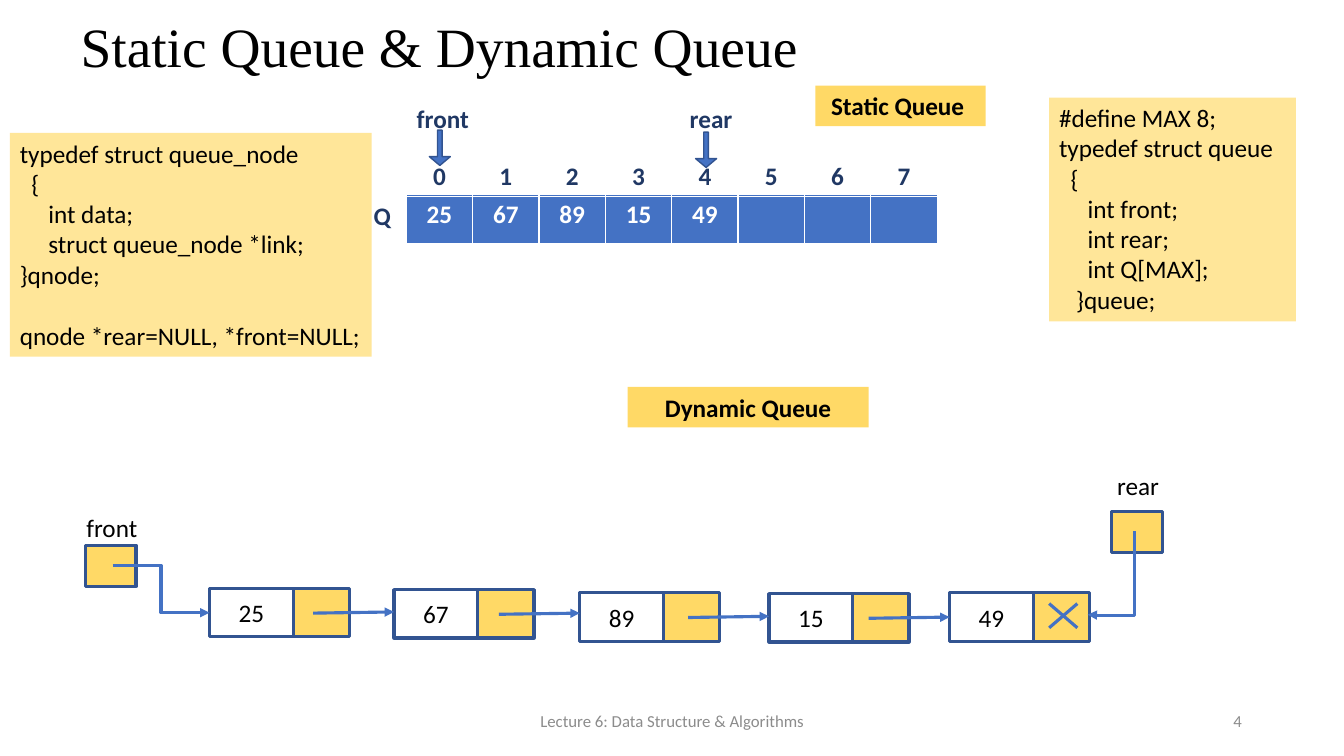
from pptx import Presentation
from pptx.dml.color import RGBColor
from pptx.enum.shapes import MSO_CONNECTOR, MSO_SHAPE
from pptx.enum.text import MSO_ANCHOR, PP_ALIGN
from pptx.oxml.ns import qn
from pptx.util import Cm, Pt
from lxml.etree import SubElement

BLACK = RGBColor(0x00, 0x00, 0x00)
WHITE = RGBColor(0xFF, 0xFF, 0xFF)
GREY = RGBColor(0x8C, 0x8C, 0x8C)
NAVY = RGBColor(0x20, 0x38, 0x64)
BLUE = RGBColor(0x44, 0x72, 0xC4)
OUTLINE = RGBColor(0x32, 0x54, 0x91)
GOLD = RGBColor(0xFF, 0xD9, 0x66)
CREAM = RGBColor(0xFF, 0xE6, 0x99)


class QueueSlide:
    font = "Calibri"
    size = 18
    line_width = 2.25

    def __init__(self, presentation):
        self.slide = presentation.slides.add_slide(presentation.slide_layouts[5])
        self.shapes = self.slide.shapes

    def format(self, text_frame, color=BLACK, bold=False, align=PP_ALIGN.CENTER,
               size=None, font=None):
        for paragraph in text_frame.paragraphs:
            paragraph.alignment = align
            for run in paragraph.runs:
                run.font.name = font or self.font
                run.font.size = Pt(size or self.size)
                run.font.bold = bold
                run.font.color.rgb = color

    def title(self, text, left, top, width, height):
        title = self.shapes.title
        title.left, title.top = Cm(left), Cm(top)
        title.width, title.height = Cm(width), Cm(height)
        title.text_frame.text = text
        title.text_frame.vertical_anchor = MSO_ANCHOR.MIDDLE
        title.text_frame.paragraphs[0].line_spacing = 0.9
        self.format(title.text_frame, align=PP_ALIGN.LEFT, size=39.6,
                    font="Times New Roman")

    def label(self, text, left, top, width, height=1.02, anchor=MSO_ANCHOR.TOP, **style):
        box = self.shapes.add_textbox(Cm(left), Cm(top), Cm(width), Cm(height))
        box.text_frame.word_wrap = True
        box.text_frame.vertical_anchor = anchor
        box.text_frame.text = text
        self.format(box.text_frame, **style)

    def box(self, left, top, width, height, fill=None, line=None, text="",
            preset=MSO_SHAPE.RECTANGLE, line_width=None, **style):
        shape = self.shapes.add_shape(preset, Cm(left), Cm(top), Cm(width), Cm(height))
        shape.shadow.inherit = False
        if fill is None:
            shape.fill.background()
        else:
            shape.fill.solid()
            shape.fill.fore_color.rgb = fill
        if line is None:
            shape.line.fill.background()
        else:
            shape.line.color.rgb = line
            shape.line.width = Pt(line_width or self.line_width)
        if text:
            shape.text_frame.text = text
            self.format(shape.text_frame, **style)
        return shape

    def down_arrow(self, left, top):
        arrow = self.box(left, top, 0.53, 0.89, BLUE, OUTLINE,
                         preset=MSO_SHAPE.DOWN_ARROW, line_width=1)
        arrow.adjustments[0] = 0.22
        arrow.adjustments[1] = 0.42

    def code(self, lines, left, top, width, height):
        shape = self.box(left, top, width, height, CREAM,
                         text="\n".join(text for text, indent, before in lines),
                         align=PP_ALIGN.LEFT)
        shape.text_frame.vertical_anchor = MSO_ANCHOR.TOP
        for paragraph, (text, indent, before) in zip(shape.text_frame.paragraphs, lines):
            paragraph.space_before = Pt(before)
            properties = paragraph._p.get_or_add_pPr()
            properties.set("marL", str(Cm(indent)))
            properties.set("indent", "0")

    def row(self, values, left, top, width, height, color, fill=None):
        frame = self.shapes.add_table(1, len(values), Cm(left), Cm(top),
                                      Cm(width), Cm(height))
        frame.table.horz_banding = False
        for cell, value in zip(frame.table.iter_cells(), values):
            if fill is None:
                cell.fill.background()
            else:
                cell.fill.solid()
                cell.fill.fore_color.rgb = fill
            cell.text_frame.text = value
            self.format(cell.text_frame, color, bold=True)

    def connector(self, start, end, kind=MSO_CONNECTOR.STRAIGHT, arrow=True):
        connector = self.shapes.add_connector(kind, *map(Cm, start + end))
        connector.line.color.rgb = BLUE
        connector.line.width = Pt(self.line_width)
        if arrow:
            SubElement(connector.line._get_or_add_ln(), qn("a:tailEnd"), type="triangle")
        SubElement(connector._element.spPr, qn("a:effectLst"))
        return connector

    def down_then_left(self, start, end):
        drop, run = end[1] - start[1], start[0] - end[0]
        left = (start[0] + end[0] - drop) / 2
        top = (start[1] + end[1] - run) / 2
        connector = self.connector((left, top), (left + drop, top + run),
                                   MSO_CONNECTOR.ELBOW)
        properties = connector._element.spPr
        properties.find(qn("a:xfrm")).set("rot", "5400000")
        guides = properties.find(qn("a:prstGeom")).get_or_add_avLst()
        SubElement(guides, qn("a:gd"), name="adj1", fmla="val 100500")

    def node(self, value, left, top):
        self.box(left, top, DATA_WIDTH, NODE_HEIGHT, line=OUTLINE, text=value)
        self.box(left + DATA_WIDTH, top, LINK_WIDTH, NODE_HEIGHT, GOLD, OUTLINE)


DATA_WIDTH, LINK_WIDTH, NODE_HEIGHT = 2.11, 1.42, 1.22
VALUES = ["25", "67", "89", "15", "49"]
NODE_PLACES = [(5.28, 14.83), (9.93, 14.86), (14.61, 14.94), (19.38, 14.96), (23.93, 14.94)]
CAPACITY = 8
NODE_CODE = [
    ("typedef struct queue_node", 0, 0),
    ("{", 0.29, 0),
    ("int data;", 0.72, 0),
    ("struct queue_node *link;", 0.72, 0),
    ("}qnode;", 0, 0),
    ("qnode *rear=NULL, *front=NULL;", 0, 22),
]
QUEUE_CODE = [
    ("#define MAX 8;", 0, 0),
    ("typedef struct queue", 0, 0),
    ("{", 0.29, 0),
    ("int front;", 0.72, 0),
    ("int rear;", 0.72, 0),
    ("int Q[MAX];", 0.72, 0),
    ("}queue;", 0.43, 0),
]

presentation = Presentation()
presentation.slide_width, presentation.slide_height = Cm(33.87), Cm(19.05)
page = QueueSlide(presentation)

page.title("Static Queue & Dynamic Queue", 1.78, 0.64, 29.21, 1.24)
page.label("Lecture 6: Data Structure & Algorithms", 11.23, 17.65, 11.43,
           anchor=MSO_ANCHOR.MIDDLE, size=12, color=GREY)
page.label("4", 23.93, 17.65, 7.62, anchor=MSO_ANCHOR.MIDDLE, size=12, color=GREY,
           align=PP_ALIGN.RIGHT)

page.row(VALUES + [""] * (CAPACITY - len(VALUES)), 10.24, 4.9, 13.38, 1.24, WHITE, BLUE)
page.row([str(index) for index in range(CAPACITY)], 10.24, 3.94, 13.38, 1.02, NAVY)
page.label("Q", 8.1, 4.93, 2, color=NAVY, bold=True, align=PP_ALIGN.RIGHT)
for name, label_left, arrow_left, arrow_top in [("front", 9.93, 10.82, 3.28),
                                                ("rear", 16.69, 17.53, 3.33)]:
    page.label(name, label_left, 2.49, 2.46, color=NAVY, bold=True)
    page.down_arrow(arrow_left, arrow_top)

page.code(NODE_CODE, 0.25, 3.35, 9.12, 5.64)
page.code(QUEUE_CODE, 26.44, 2.46, 6.22, 5.64)
page.box(20.55, 2.16, 4.29, 1.02, GOLD, text="Static Queue ", bold=True)
page.box(15.82, 9.75, 6.07, 1.02, GOLD, text="Dynamic Queue", bold=True)

for name, left, top in [("front", 1.6, 12.78), ("rear", 27.46, 11.73)]:
    page.label(name, left, top, 2.44)
for left, top in [(2.16, 13.74), (28.02, 12.88)]:
    page.box(left, top, 1.27, 1.04, GOLD, OUTLINE)

for value, place in zip(VALUES, NODE_PLACES):
    page.node(value, *place)
for (left, top), (next_left, next_top) in zip(NODE_PLACES, NODE_PLACES[1:]):
    page.connector((next_left - 2.04, top + 0.62), (next_left, top + 0.59))
for start_top, end_top in [(15.21, 15.82), (15.82, 15.21)]:
    page.connector((26.44, start_top), (27.15, end_top), arrow=False)
page.connector((2.84, 14.25), (5.28, 15.44), MSO_CONNECTOR.ELBOW)
page.down_then_left((28.58, 13.39), (27.41, 15.49))

presentation.save("out.pptx")
